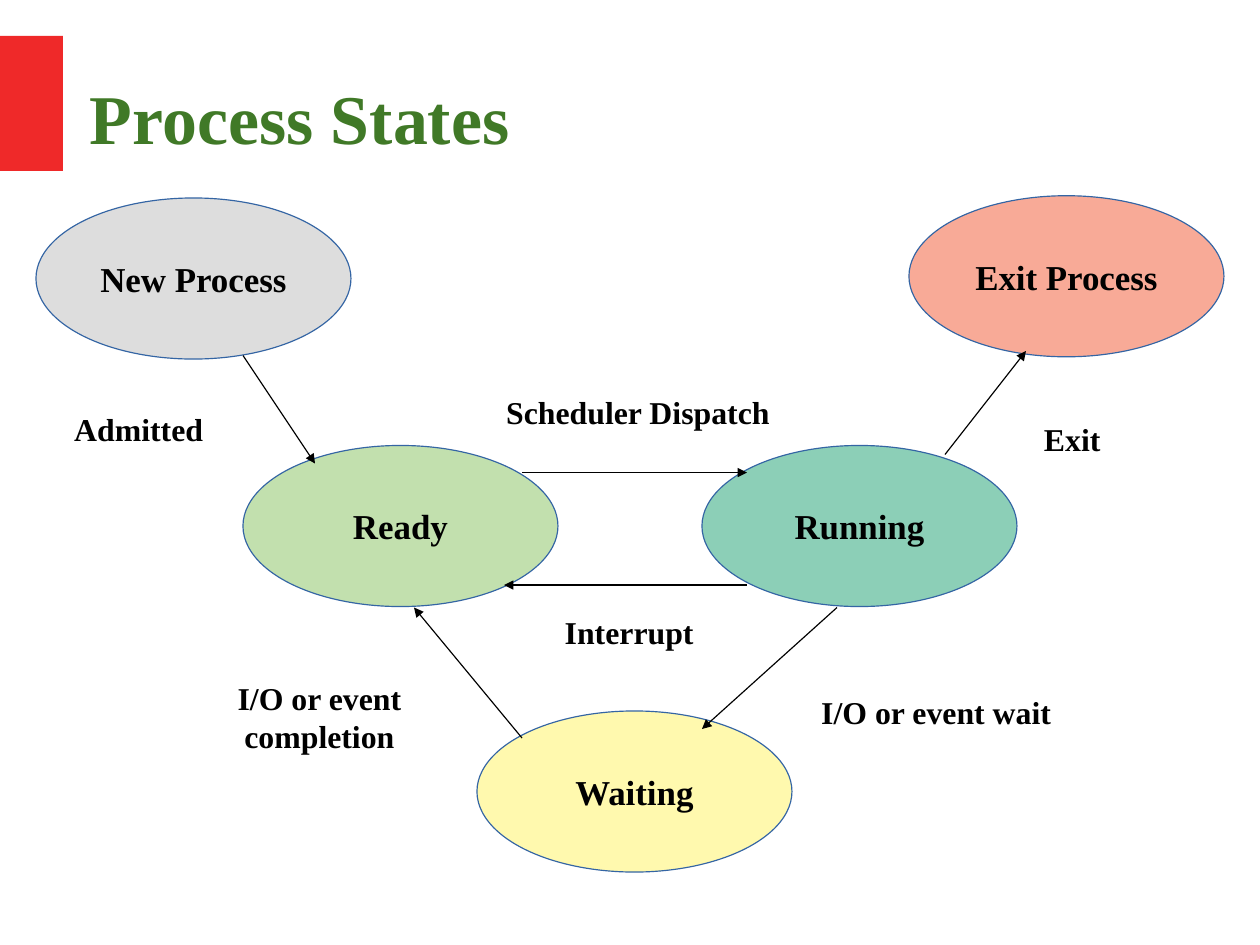
from typing import NamedTuple

from lxml.etree import SubElement
from pptx import Presentation
from pptx.dml.color import RGBColor
from pptx.enum.shapes import MSO_CONNECTOR as Link, MSO_SHAPE as Form
from pptx.enum.text import MSO_ANCHOR as Anchor, PP_ALIGN as Align
from pptx.oxml.ns import qn
from pptx.util import Cm, Pt

COLS, ROWS = 28, 21  # grid of square cells
CELL = Cm(1)
OVAL_W, OVAL_H = 7, 3.58
FONT = "Times New Roman"
EDGE = Pt(0.75)

RED = RGBColor(0xEF, 0x29, 0x29)
GREEN = RGBColor(0x40, 0x79, 0x27)
BLUE = RGBColor(0x34, 0x65, 0xA4)
BLACK = RGBColor(0, 0, 0)
GREY = RGBColor(0xDD, 0xDD, 0xDD)
CORAL = RGBColor(0xF8, 0xAA, 0x97)
LIME = RGBColor(0xC2, 0xE0, 0xAE)
TEAL = RGBColor(0x8C, 0xCF, 0xB7)
YELLOW = RGBColor(0xFF, 0xF9, 0xAE)


class State(NamedTuple):
    """A process state, placed by column and row."""
    name: str
    col: float
    row: float
    fill: RGBColor


class Label(NamedTuple):
    """Text beside an arrow, with its box in cells."""
    text: str
    col: float
    row: float
    wide: float
    high: float
    align: Align = Align.LEFT


class Arrow(NamedTuple):
    """A move between states, from start cell to end cell."""
    col: float
    row: float
    end_col: float
    end_row: float


STATES = [
    State("New Process", 0.8, 4.4, GREY),
    State("Exit Process", 20.2, 4.35, CORAL),
    State("Ready", 5.4, 9.9, LIME),
    State("Running", 15.6, 9.9, TEAL),
    State("Waiting", 10.6, 15.8, YELLOW),
]
LABELS = [
    Label("I/O or event\ncompletion", 5, 14.95, 4.2, 1.85, Align.CENTER),
    Label("I/O or event wait", 18, 15.27, 6.5, 2),
    Label("Admitted", 1.4, 8.97, 4, 1.65),
    Label("Scheduler Dispatch", 11, 8.6, 7, 1.63),
    Label("Interrupt", 12.3, 13.5, 4.1, 1.45),
    Label("Exit", 22.95, 9.2, 2.45, 1.05),
]
ARROWS = [
    Arrow(5.4, 7.9, 7, 10.3),
    Arrow(21, 10.1, 22.8, 7.8),
    Arrow(11.6, 10.5, 16.6, 10.5),
    Arrow(16.6, 13, 11.2, 13),
    Arrow(18.6, 13.5, 15.6, 16.2),
    Arrow(11.6, 16.4, 9.2, 13.5),
]


def cells(*counts: float) -> list[int]:
    """Turn cell counts into lengths."""
    return [round(n * CELL) for n in counts]


def style(item, form: dict) -> None:
    """Set each attribute in form on item."""
    for key, value in form.items():
        setattr(item, key, value)


def write(shape, text: str, size: float, align=Align.LEFT, color=BLACK, **form) -> None:
    """Put bold text in a shape, one paragraph per line."""
    frame = shape.text_frame
    frame.text = text
    style(frame, form)
    for para in frame.paragraphs:
        para.alignment = align
        style(para.font, {"name": FONT, "size": Pt(size), "bold": True})
        para.font.color.rgb = color


def block(shapes, form: Form, box: tuple, fill: RGBColor):
    """Draw a flat filled shape without an edge."""
    shape = shapes.add_shape(form, *cells(*box))
    shape.shadow.inherit = False
    shape.fill.solid()
    shape.fill.fore_color.rgb = fill
    shape.line.fill.background()
    return shape


def edge(line, color: RGBColor) -> None:
    """Give a line its colour and width."""
    line.color.rgb = color
    line.width = EDGE


def draw_state(shapes, state: State) -> None:
    """Draw one state as a named oval."""
    box = (state.col, state.row, OVAL_W, OVAL_H)
    oval = block(shapes, Form.OVAL, box, state.fill)
    edge(oval.line, BLUE)
    write(oval, state.name, 22, Align.CENTER,
          word_wrap=False, vertical_anchor=Anchor.MIDDLE)


def draw_label(shapes, label: Label) -> None:
    """Draw the text beside an arrow."""
    box = shapes.add_textbox(*cells(*label[1:5]))
    write(box, label.text, 20, label.align, word_wrap=True)


def draw_arrow(shapes, arrow: Arrow) -> None:
    """Draw a straight line with a head at its end."""
    link = shapes.add_connector(Link.STRAIGHT, *cells(*arrow))
    edge(link.line, BLACK)
    SubElement(link.line._get_or_add_ln(), qn("a:tailEnd"), type="triangle")
    SubElement(link._element.spPr, qn("a:effectLst"))


def main() -> None:
    """Build the slide and save it."""
    deck = Presentation()
    deck.slide_width, deck.slide_height = cells(COLS, ROWS)
    shapes = deck.slides.add_slide(deck.slide_layouts[6]).shapes

    block(shapes, Form.RECTANGLE, (0, 0.8, 1.4, 3), RED)
    title = shapes.add_textbox(*cells(2, 0.84, 24.6, 3.5))
    sides = ("left", "top", "right", "bottom")
    write(title, "Process States", 44, color=GREEN, word_wrap=True,
          vertical_anchor=Anchor.MIDDLE, **{f"margin_{s}": 0 for s in sides})

    for draw, items in ((draw_state, STATES), (draw_label, LABELS), (draw_arrow, ARROWS)):
        for item in items:
            draw(shapes, item)
    deck.save("out.pptx")


main()
